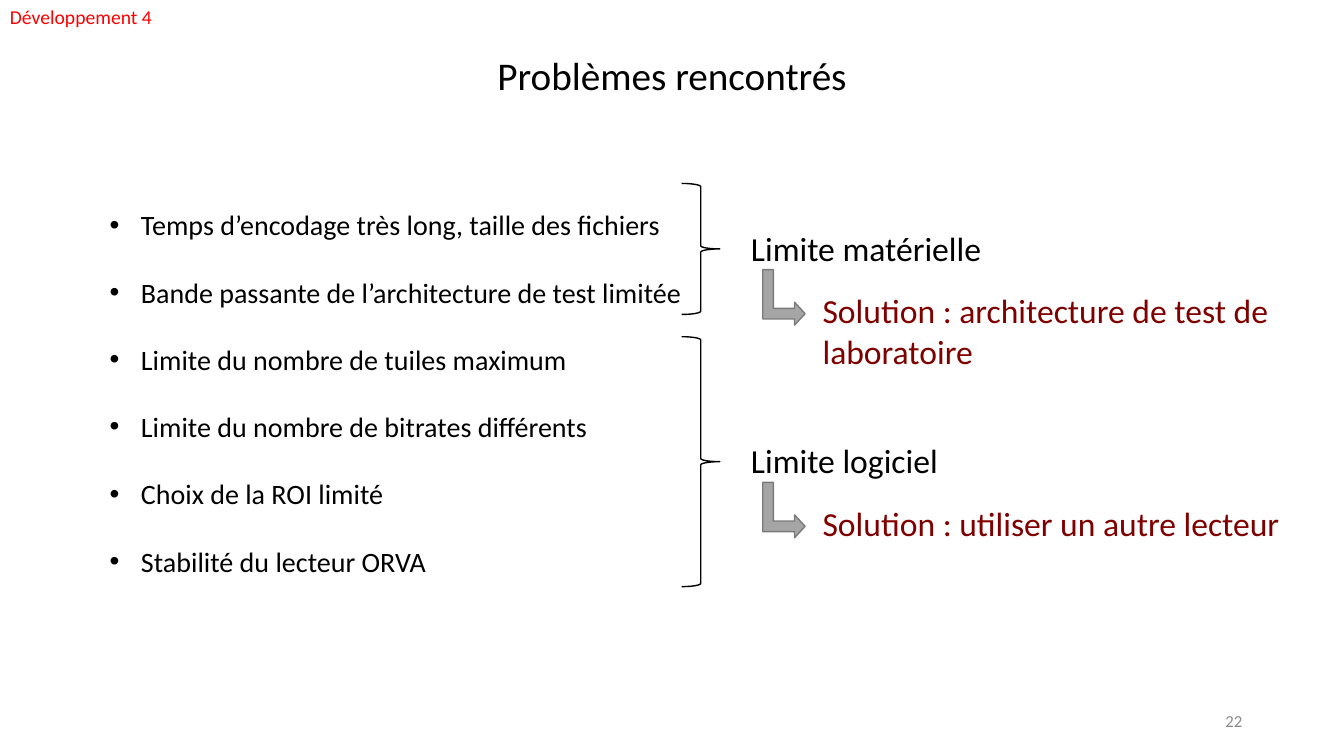
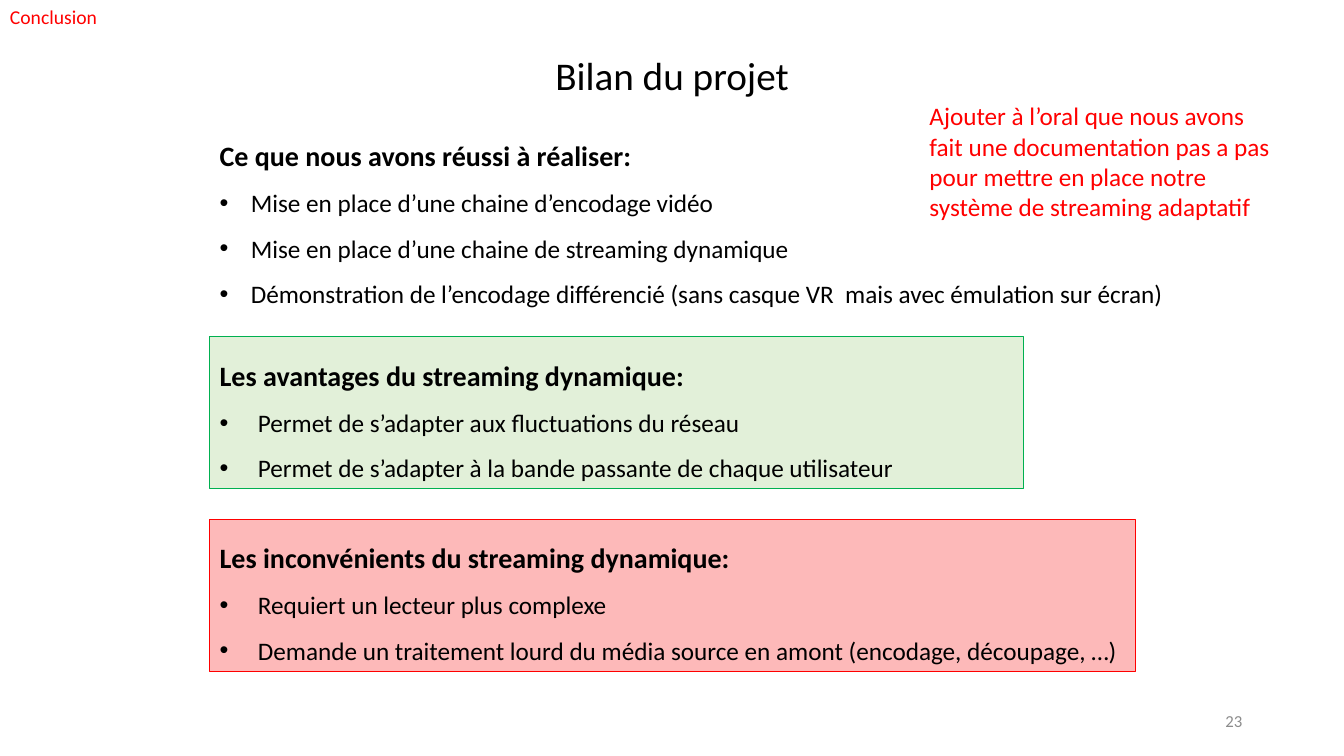
from lxml.etree import SubElement
from pptx import Presentation
from pptx.dml.color import RGBColor
from pptx.enum.shapes import MSO_SHAPE
from pptx.enum.text import MSO_ANCHOR, PP_ALIGN
from pptx.oxml.ns import qn
from pptx.util import Pt

EMU_PER_PX = 9144
FONT = "Calibri"
COLORS = {
    "text": "000000", "note": "FF0000", "solution": "800000", "number": "8C8C8C",
    "arrow": "A5A5A5", "arrow_line": "7A7A7A",
    "pro": "E2F0D9", "pro_line": "00B050", "con": "FDB9B9", "con_line": "FF0000",
}


def px(n):
    """Turn px (100 to the inch) into EMU."""
    return round(n * EMU_PER_PX)


def rgb(name):
    """Look up a palette colour."""
    return RGBColor.from_string(COLORS[name])


def add_text(tf, text, size, color="text", align=PP_ALIGN.LEFT, bold=False,
             spacing=1, indent=0):
    """Add one paragraph, bulleted when it has an indent."""
    p = tf.paragraphs[0]
    if p.runs:
        p = tf.add_paragraph()
    p.alignment = align
    p.line_spacing = spacing
    if indent:
        pPr = p._p.get_or_add_pPr()
        pPr.set("marL", str(px(indent)))
        pPr.set("indent", str(-px(indent)))
        SubElement(pPr, qn("a:buFont")).set("typeface", "Arial")
        SubElement(pPr, qn("a:buChar")).set("char", "•")
    r = p.add_run()
    r.text = text
    r.font.name = FONT
    r.font.size = Pt(size)
    r.font.bold = bold
    r.font.color.rgb = rgb(color)


def add_box(s, box):
    """Add an empty wrapping text box and return its text frame."""
    tf = s.shapes.add_textbox(*map(px, box)).text_frame
    tf.word_wrap = True
    return tf


def add_shape(s, kind, box, fill, line, width):
    """Add a flat preset shape."""
    sp = s.shapes.add_shape(kind, *map(px, box))
    sp.shadow.inherit = False
    if fill:
        sp.fill.solid()
        sp.fill.fore_color.rgb = rgb(fill)
    else:
        sp.fill.background()
    sp.line.color.rgb = rgb(line)
    sp.line.width = Pt(width)
    return sp


def add_slide(prs, section, title, number):
    """Add a blank slide with its section, title and page number."""
    s = prs.slides.add_slide(prs.slide_layouts[6])
    add_text(add_box(s, (0, 0, 168, 34)), section, 14, "note")
    add_text(add_box(s, (257, 46, 819, 57)), title, 28, align=PP_ALIGN.CENTER)
    tf = add_box(s, (942, 695, 300, 40))
    tf.vertical_anchor = MSO_ANCHOR.MIDDLE
    add_text(tf, str(number), 12, "number", PP_ALIGN.RIGHT)
    return s


def add_limit(s, box, label, solution):
    """Add a brace with its limit, bent arrow and solution beside it."""
    x, y, w, h = box
    mid = y + h / 2
    add_shape(s, MSO_SHAPE.RIGHT_BRACE, box, None, "text", 1)
    add_text(add_box(s, (x + 59, mid - 26, 272, 50)), label, 24)
    sp = add_shape(s, MSO_SHAPE.BENT_UP_ARROW, (x + 74, mid + 27, 55, 42),
                   "arrow", "arrow_line", 1)
    sp.rotation = 90
    sp.adjustments[1] = 0.27
    add_text(add_box(s, (x + 130, mid + 36, 479, 91)), solution, 24, "solution")


def add_summary(tf, heading, items, indent, heading_spacing=1.5):
    """Fill a text frame with a bold heading and its bullets."""
    add_text(tf, heading, 20, align=PP_ALIGN.JUSTIFY, bold=True, spacing=heading_spacing)
    for item in items:
        add_text(tf, item, 18, align=PP_ALIGN.JUSTIFY, spacing=1.5, indent=indent)


def add_panel(s, box, style, heading, items):
    """Add a coloured panel holding a summary."""
    sp = add_shape(s, MSO_SHAPE.RECTANGLE, box, style, style + "_line", 0.75)
    tf = sp.text_frame
    tf.word_wrap = True
    tf.vertical_anchor = MSO_ANCHOR.TOP
    add_summary(tf, heading, items, 38)


def problems_slide(prs):
    """Build the slide on the problems met."""
    s = add_slide(prs, "Développement 4", "Problèmes rencontrés", 22)
    tf = add_box(s, (99, 168, 596, 414))
    for item in (
        "Temps d’encodage très long, taille des fichiers",
        "Bande passante de l’architecture de test limitée",
        "Limite du nombre de tuiles maximum",
        "Limite du nombre de bitrates différents",
        "Choix de la ROI limité",
        "Stabilité du lecteur ORVA",
    ):
        add_text(tf, item, 20, align=PP_ALIGN.JUSTIFY, spacing=2, indent=31)
    add_limit(s, (676, 182, 38, 130), "Limite matérielle",
              "Solution : architecture de test de laboratoire")
    add_limit(s, (676, 334, 38, 248), "Limite logiciel",
              "Solution : utiliser un autre lecteur")


def review_slide(prs):
    """Build the slide that reviews the project."""
    s = add_slide(prs, "Conclusion", "Bilan du projet", 23)
    add_summary(add_box(s, (208, 133, 966, 187)), "Ce que nous avons réussi à réaliser:", (
        "Mise en place d’une chaine d’encodage vidéo",
        "Mise en place d’une chaine de streaming dynamique",
        "Démonstration de l’encodage différencié (sans casque VR  mais avec émulation sur écran)",
    ), 31, 1)
    add_panel(s, (208, 334, 807, 151), "pro", "Les avantages du streaming dynamique:", (
        "Permet de s’adapter aux fluctuations du réseau",
        "Permet de s’adapter à la bande passante de chaque utilisateur",
    ))
    add_panel(s, (208, 515, 918, 151), "con", "Les inconvénients du streaming dynamique:", (
        "Requiert un lecteur plus complexe",
        "Demande un traitement lourd du média source en amont (encodage, découpage, …)",
    ))
    add_text(add_box(s, (912, 95, 358, 131)),
             "Ajouter à l’oral que nous avons fait une documentation pas a pas "
             "pour mettre en place notre système de streaming adaptatif", 18, "note")


def main():
    """Build and save the presentation."""
    prs = Presentation()
    prs.slide_width, prs.slide_height = px(1333), px(750)
    problems_slide(prs)
    review_slide(prs)
    prs.save("out.pptx")


if __name__ == "__main__":
    main()
